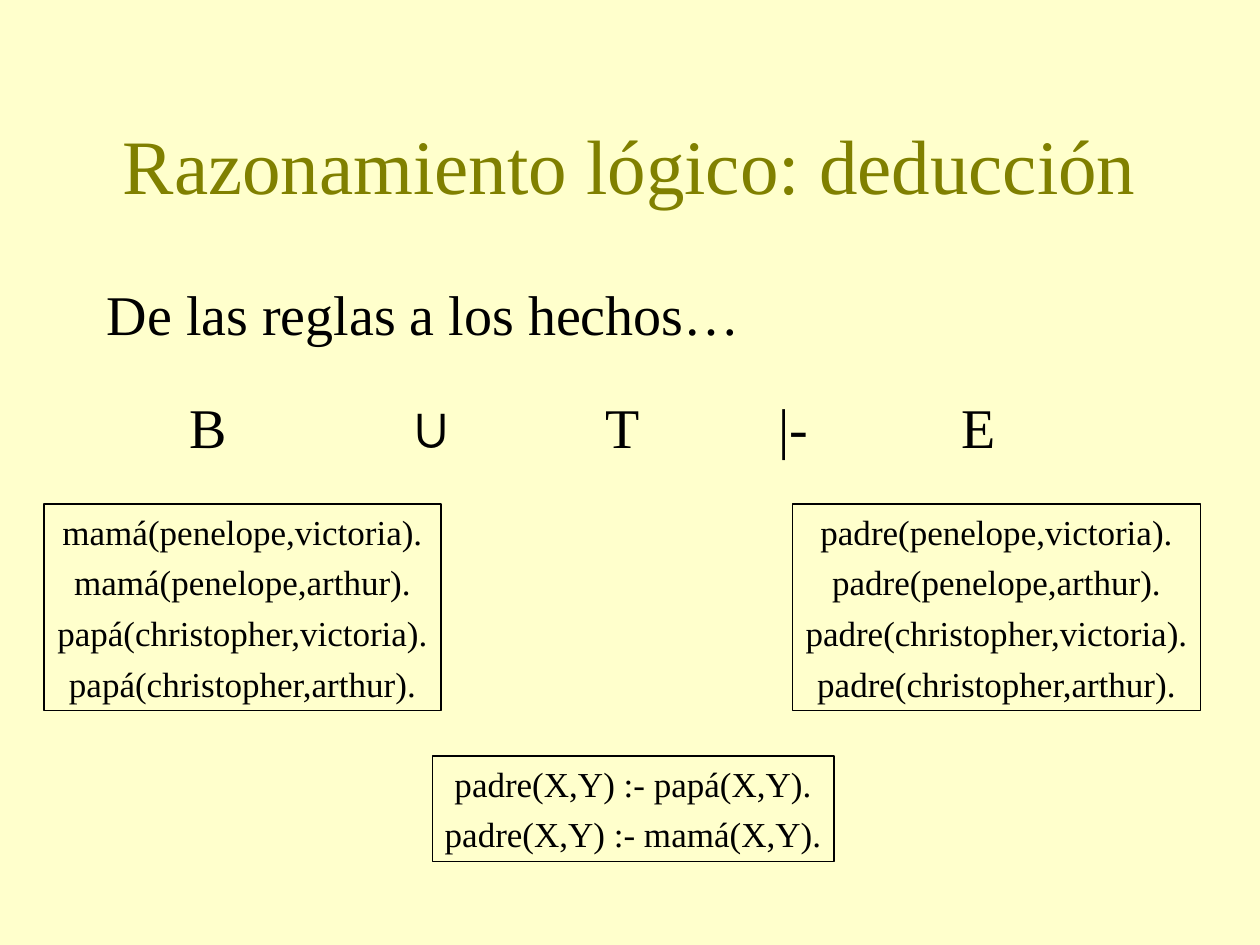
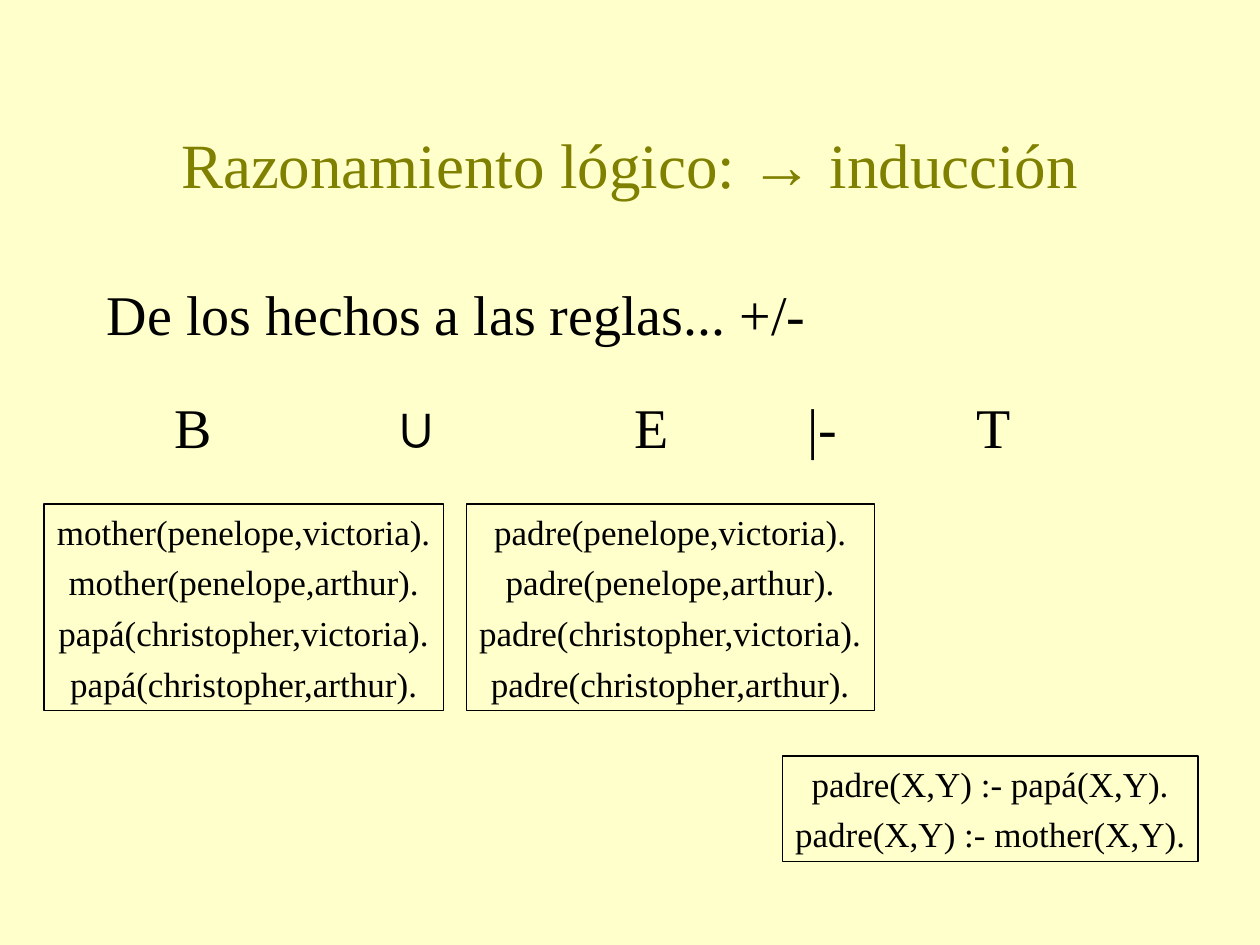
from lxml import etree
from pptx import Presentation
from pptx.dml.color import RGBColor
from pptx.enum.shapes import MSO_SHAPE
from pptx.enum.text import MSO_ANCHOR, PP_ALIGN
from pptx.oxml.ns import qn
from pptx.util import Inches, Pt

RECT = MSO_SHAPE.RECTANGLE
LEFT, CENTER = PP_ALIGN.LEFT, PP_ALIGN.CENTER
TOP, MIDDLE = MSO_ANCHOR.TOP, MSO_ANCHOR.MIDDLE

COLORS = {"paper": "FFFFCC", "title": "808000", "ink": "000000"}
SERIF, SANS = "Times New Roman", "Arial"
UNION = "∪"
PAD = 0.1       # side inset of every text frame
FACT_Y, RULE_Y = 4, 6
FACT_H, RULE_H = 1.64, 0.84


def color(name):
    return RGBColor.from_string(COLORS[name])


def assign(target, values):
    for key, value in values.items():
        setattr(target, key, value)


class Deck:
    """Holds the shared style and the current slide."""

    def __init__(self):
        self.prs = Presentation()
        assign(self.prs, {"slide_width": Inches(10), "slide_height": Inches(7.5)})
        fill = self.prs.slide_master.background.fill
        fill.solid()
        fill.fore_color.rgb = color("paper")
        self.slide = None

    def start(self, title, size, lead):
        self.slide = self.prs.slides.add_slide(self.prs.slide_layouts[6])
        self.text(0.67, 1.25, title, size, "title", CENTER, MIDDLE)
        self.text(2.17, 0.67, lead, 32, "ink", LEFT, TOP, 8)

    def typeset(self, shape, lines, size, ink="ink", align=LEFT, anchor=TOP,
                before=0, wrap=True):
        frame = shape.text_frame
        assign(frame, {
            "word_wrap": wrap, "vertical_anchor": anchor,
            "margin_left": Inches(PAD), "margin_right": Inches(PAD),
            "margin_top": Inches(0.05), "margin_bottom": Inches(0.05),
        })
        for i, line in enumerate(lines):
            para = frame.add_paragraph() if i else frame.paragraphs[0]
            assign(para, {"alignment": align, "space_before": Pt(before)})
            # The union sign has its own font
            head, sign, tail = line.partition(UNION)
            for part, face in ((head, SERIF), (sign, SANS), (tail, SERIF)):
                if part:
                    run = para.add_run()
                    run.text = part
                    assign(run.font, {"name": face, "size": Pt(size)})
                    run.font.color.rgb = color(ink)
        return frame

    def text(self, top, height, line, *style):
        box = self.slide.shapes.add_textbox(
            Inches(0.75), Inches(top), Inches(8.5), Inches(height))
        self.typeset(box, [line], *style)

    def formula(self, left, width, terms, centers):
        box = self.slide.shapes.add_textbox(
            Inches(left), Inches(3.07), Inches(width), Inches(0.64))
        frame = self.typeset(box, ["\t".join(terms)], 32, before=8)
        # Each term after the first is centred on its own tab stop
        props = frame.paragraphs[0]._p.get_or_add_pPr()
        tabs = etree.SubElement(props, qn("a:tabLst"))
        for center in centers:
            pos = Inches(center - left - PAD)
            etree.SubElement(tabs, qn("a:tab"), pos=str(pos), algn="ctr")

    def clauses(self, left, top, width, height, lines):
        box = self.slide.shapes.add_shape(
            RECT, Inches(left), Inches(top), Inches(width), Inches(height))
        box.shadow.inherit = False
        box.fill.background()
        box.line.color.rgb = color("ink")
        box.line.width = Pt(0.75)
        self.typeset(box, lines, 20, align=CENTER, before=5, wrap=False)


def facts(first, second):
    """Pair each parent's predicate with both children."""
    parents = ((first, "penelope"), (second, "christopher"))
    return [f"{name}({parent},{child})."
            for name, parent in parents for child in ("victoria", "arthur")]


def rules(mother):
    return [f"padre(X,Y) :- {name}(X,Y)." for name in ("papá", mother)]


def main():
    deck = Deck()

    # Deduction: from rules to facts
    deck.start("Razonamiento lógico: deducción", 44, "De las reglas a los hechos…")
    deck.formula(1.41, 6.64, ["B", UNION, "T", "|-", "E"], [3.43, 4.94, 6.3, 7.77])
    deck.clauses(0.35, FACT_Y, 3.15, FACT_H, facts("mamá", "papá"))
    deck.clauses(3.43, RULE_Y, 3.19, RULE_H, rules("mamá"))
    deck.clauses(6.29, FACT_Y, 3.24, FACT_H, facts("padre", "padre"))

    # Induction: from facts to rules
    deck.start("Razonamiento lógico: → inducción", 36,
               "De los hechos a las reglas... +/-")
    deck.formula(1.29, 6.86, ["B", UNION, "E", "|-", "T"], [3.31, 5.17, 6.53, 7.89])
    deck.clauses(0.35, FACT_Y, 3.17, FACT_H, facts("mother", "papá"))
    deck.clauses(6.21, RULE_Y, 3.3, RULE_H, rules("mother"))
    deck.clauses(3.7, FACT_Y, 3.24, FACT_H, facts("padre", "padre"))

    deck.prs.save("out.pptx")


if __name__ == "__main__":
    main()
